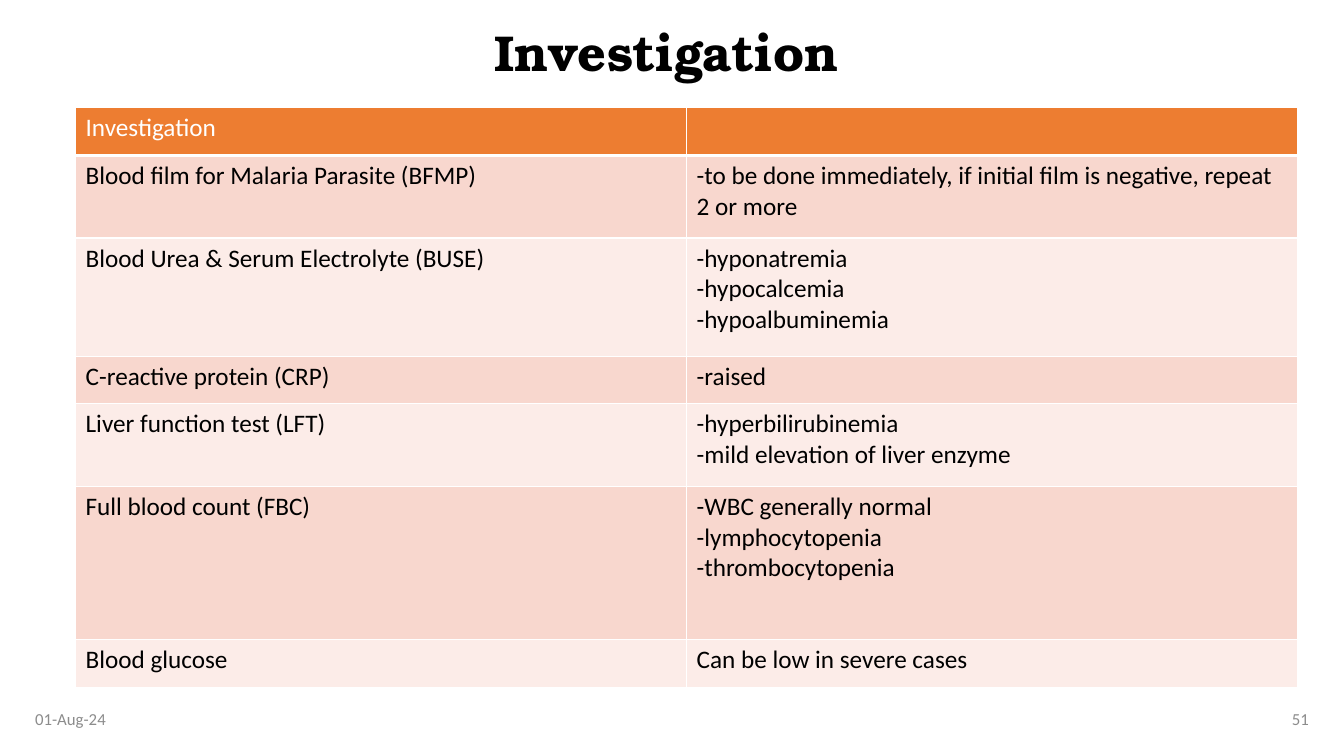
from lxml.etree import SubElement
from pptx import Presentation
from pptx.dml.color import RGBColor
from pptx.enum.text import MSO_ANCHOR as Anchor, PP_ALIGN as Align
from pptx.oxml.ns import qn
from pptx.util import Pt

BLACK = RGBColor(0x00, 0x00, 0x00)
WHITE = RGBColor(0xFF, 0xFF, 0xFF)
GREY = RGBColor(0x8C, 0x8C, 0x8C)
ORANGE = RGBColor(0xED, 0x7D, 0x31)
PEACH = RGBColor(0xF8, 0xD7, 0xCE)
PALE_PEACH = RGBColor(0xFC, 0xEC, 0xE8)

TITLE_FONT = "TeX Gyre Bonum"
BODY_FONT = "Calibri"

INVESTIGATIONS = [
    (34, "Investigation", []),
    (59, "Blood film for Malaria Parasite (BFMP)",
     ["-to be done immediately, if initial film is negative, repeat 2 or more"]),
    (84.5, "Blood Urea & Serum Electrolyte (BUSE)",
     ["-hyponatremia", "-hypocalcemia", "-hypoalbuminemia"]),
    (34, "C-reactive protein (CRP)", ["-raised"]),
    (59, "Liver function test (LFT)",
     ["-hyperbilirubinemia", "-mild elevation of liver enzyme"]),
    (109.5, "Full blood count (FBC)",
     ["-WBC generally normal", "-lymphocytopenia", "-thrombocytopenia"]),
    (34, "Blood glucose", ["Can be low in severe cases"]),
]


def add_run(paragraph, text, size, color, font=BODY_FONT, bold=False):
    run = paragraph.add_run()
    run.text = text
    run.font.name = font
    run.font.size = Pt(size)
    run.font.bold = bold
    run.font.color.rgb = color


def add_label(slide, box, text, size, color, align, font=BODY_FONT, bold=False):
    frame = slide.shapes.add_textbox(*map(Pt, box)).text_frame
    frame.word_wrap = True
    frame.vertical_anchor = Anchor.MIDDLE
    paragraph = frame.paragraphs[0]
    paragraph.alignment = align
    add_run(paragraph, text, size, color, font, bold)
    return paragraph


def add_title(slide, box):
    paragraph = add_label(slide, box, "Investigation", 36, BLACK, Align.CENTER, TITLE_FONT, True)
    paragraph.line_spacing = 0.9


def add_footer(slide, box):
    left, top, width, height = box
    label_width = 216
    add_label(slide, (left, top, label_width, height), "01-Aug-24", 12, GREY, Align.LEFT)
    add_label(slide, (left + width - label_width, top, label_width, height),
              "51", 12, GREY, Align.RIGHT)


def set_borders(cell, bottom_width):
    properties = cell._tc.get_or_add_tcPr()
    widths = {"a:lnL": 1, "a:lnR": 1, "a:lnT": 1, "a:lnB": bottom_width}
    for index, (tag, width) in enumerate(widths.items()):
        line = SubElement(properties, qn(tag), w=str(Pt(width)))
        fill = SubElement(line, qn("a:solidFill"))
        SubElement(fill, qn("a:srgbClr"), val=str(WHITE))
        properties.insert(index, line)


def fill_cell(cell, lines, background, color, bottom_width):
    cell.fill.solid()
    cell.fill.fore_color.rgb = background
    set_borders(cell, bottom_width)
    frame = cell.text_frame
    for index, line in enumerate(lines):
        paragraph = frame.add_paragraph() if index else frame.paragraphs[0]
        add_run(paragraph, line, 18, color)


def add_investigation_table(slide, box):
    table = slide.shapes.add_table(len(INVESTIGATIONS), 2, *map(Pt, box)).table
    for row_index, (height, test, findings) in enumerate(INVESTIGATIONS):
        table.rows[row_index].height = Pt(height)
        if row_index == 0:
            background, color, bottom_width = ORANGE, WHITE, 3
        else:
            background = PEACH if row_index % 2 else PALE_PEACH
            color, bottom_width = BLACK, 1
        for column, lines in enumerate(([test], findings)):
            fill_cell(table.cell(row_index, column), lines, background, color, bottom_width)


def main():
    presentation = Presentation()
    presentation.slide_width, presentation.slide_height = Pt(960), Pt(540)
    slide = presentation.slides.add_slide(presentation.slide_layouts[6])
    add_title(slide, (18, 10.8, 916.5, 57))
    add_investigation_table(slide, (54, 77, 873, 414))
    add_footer(slide, (18, 499, 924, 28.8))
    presentation.save("out.pptx")


if __name__ == "__main__":
    main()
